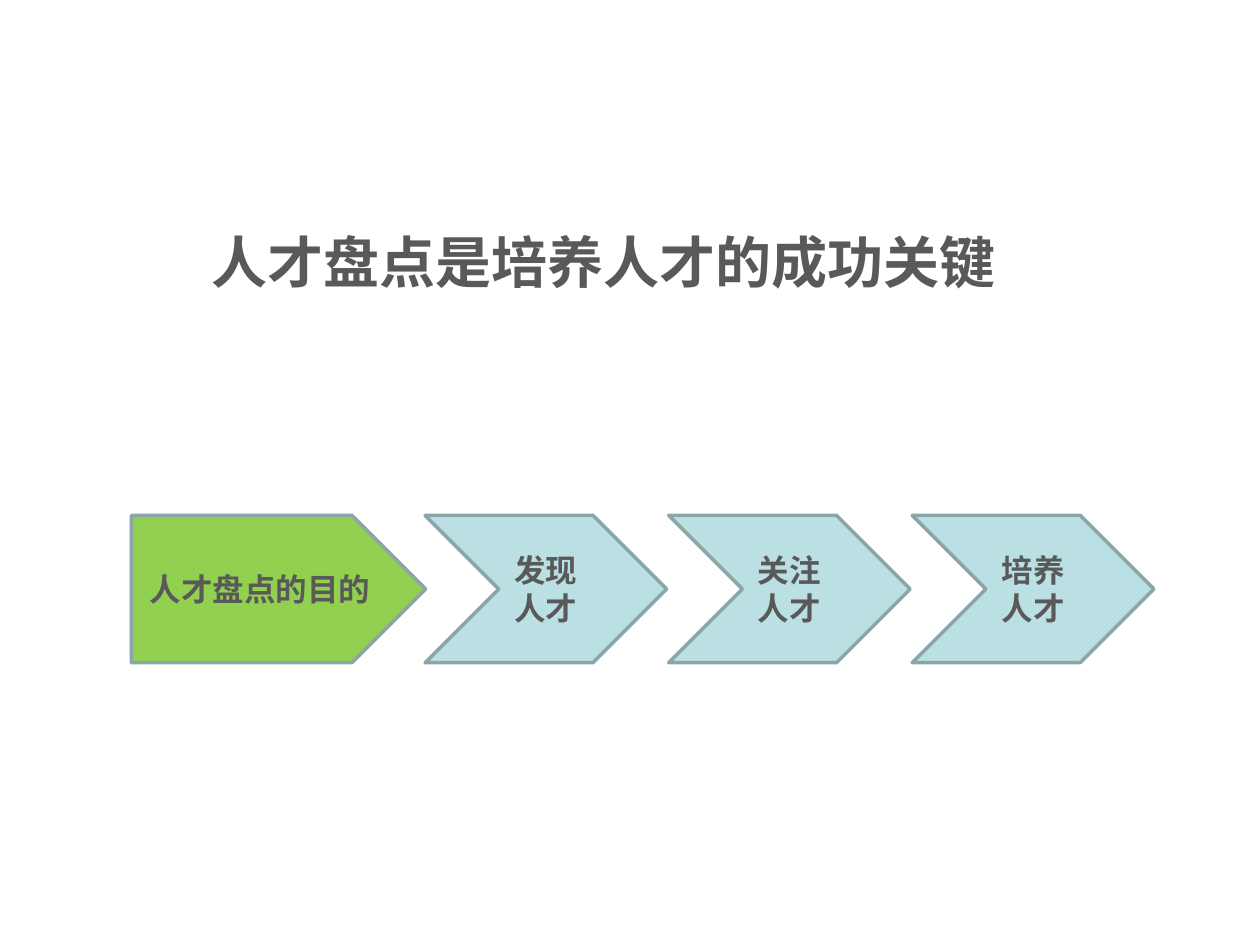
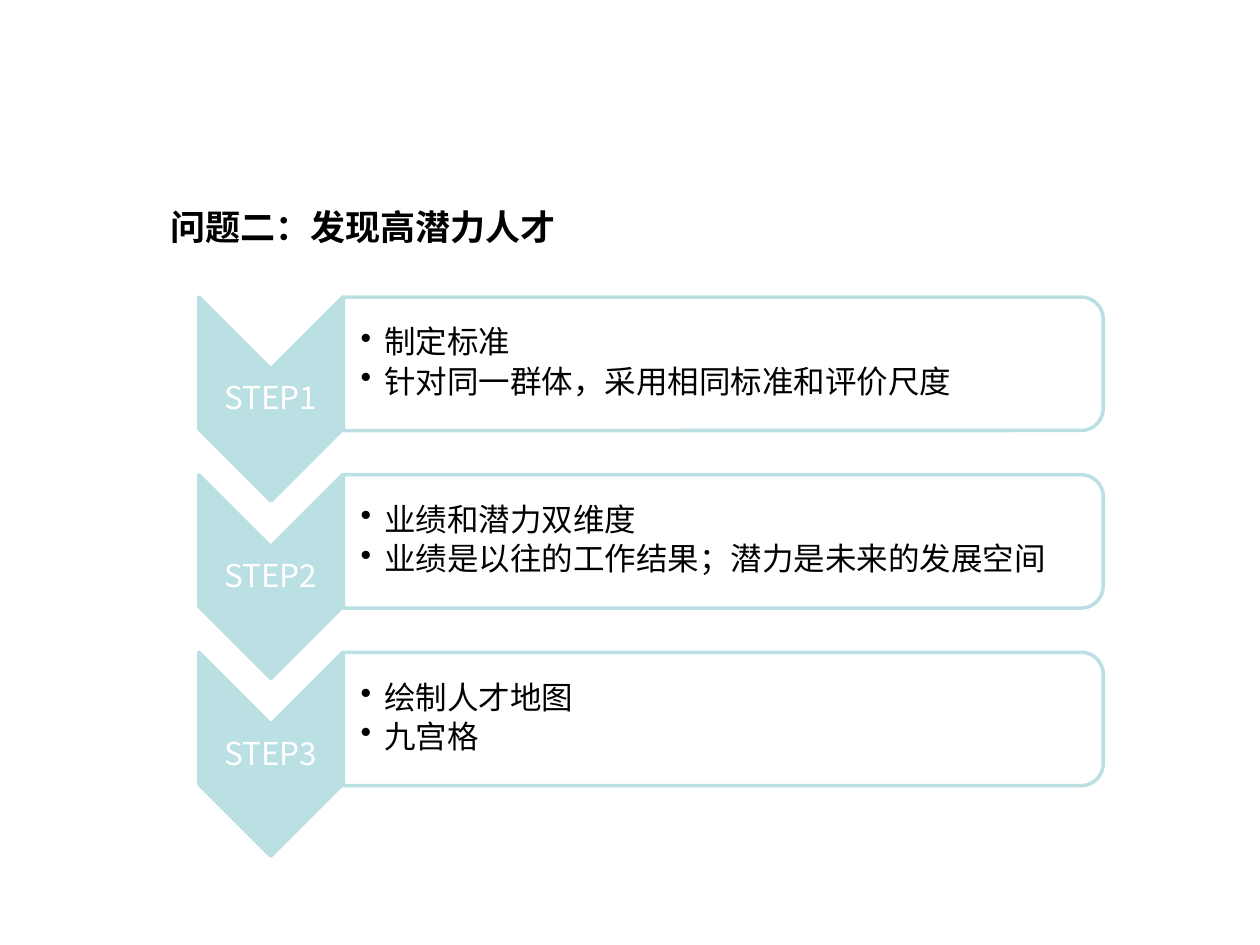
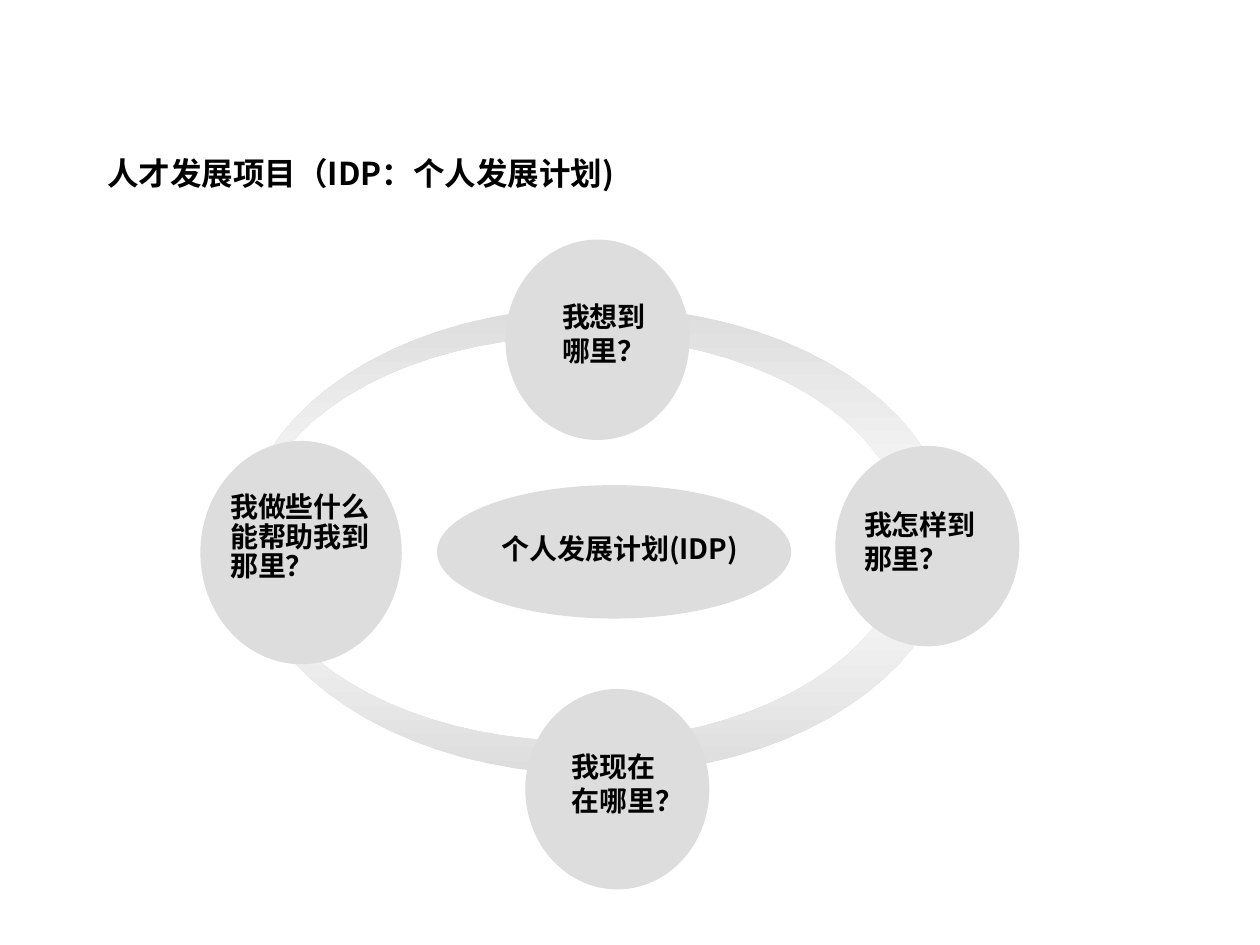
import copy
import math

import pptx
import pptx.dml.color
import pptx.enum.lang
import pptx.enum.shapes
import pptx.enum.text
import pptx.oxml
import pptx.oxml.ns
import pptx.util

Cm = pptx.util.Cm
Pt = pptx.util.Pt
RGBColor = pptx.dml.color.RGBColor
SHAPE = pptx.enum.shapes.MSO_SHAPE
ALIGN = pptx.enum.text.PP_ALIGN
ANCHOR = pptx.enum.text.MSO_ANCHOR
qn = pptx.oxml.ns.qn

FONT = "Noto Sans CJK SC"
BLACK = RGBColor(0x00, 0x00, 0x00)
WHITE = RGBColor(0xFF, 0xFF, 0xFF)
DARK = RGBColor(0x59, 0x59, 0x59)
GREEN = RGBColor(0x92, 0xD0, 0x50)
AQUA = RGBColor(0xBB, 0xE0, 0xE3)
STEEL = RGBColor(0x8A, 0xA6, 0xA8)
GREY = RGBColor(0xDD, 0xDD, 0xDD)


def add_run(p, text, size, color, bold):
    r = p.add_run()
    r.text = text
    f = r.font
    f.name, f.size, f.bold = FONT, Pt(size), bold
    f.color.rgb = color
    f.language_id = pptx.enum.lang.MSO_LANGUAGE_ID.SIMPLIFIED_CHINESE
    ea = r._r.get_or_add_rPr().makeelement(qn("a:ea"), {"typeface": FONT})
    r._r.rPr.find(qn("a:latin")).addnext(ea)


def set_bullet(p):
    pPr = p._p.get_or_add_pPr()
    pPr.set("marL", str(Cm(0.48)))
    pPr.set("indent", str(-Cm(0.48)))
    pPr.append(pPr.makeelement(qn("a:buChar"), {"char": "•"}))


def write(tf, lines, size, color, bold=False, align=ALIGN.LEFT, spacing=None,
          after=None, bullets=False):
    """Fill a text frame with one paragraph per line."""
    tf.word_wrap = True
    for i, line in enumerate(lines):
        p = tf.paragraphs[0] if i == 0 else tf.add_paragraph()
        p.alignment = align
        if spacing:
            p.line_spacing = spacing
        if after:
            p.space_after = Pt(after)
        if bullets:
            set_bullet(p)
        add_run(p, line, size, color, bold)


def add_titled_slide(prs, text, box, size, color):
    s = prs.slides.add_slide(prs.slide_layouts[5])
    sp = s.shapes.title
    sp.left, sp.top, sp.width, sp.height = map(Cm, box)
    tf = sp.text_frame
    tf.auto_size = pptx.enum.text.MSO_AUTO_SIZE.NONE
    tf.vertical_anchor = ANCHOR.TOP
    write(tf, [text], size, color, bold=True)
    return s


def add_shape(s, kind, box, fill, line=None):
    sp = s.shapes.add_shape(kind, *map(Cm, box))
    sp.shadow.inherit = False
    sp.fill.solid()
    sp.fill.fore_color.rgb = fill
    if line is None:
        sp.line.fill.background()
    else:
        sp.line.color.rgb = line
        sp.line.width = Pt(2)
    return sp


def add_turned_shape(s, kind, box, fill, line):
    """Add a shape turned by 90 degrees that covers box once turned."""
    x, y, w, h = box
    sp = add_shape(s, kind, (x + (w - h) / 2, y + (h - w) / 2, h, w), fill, line)
    sp.rotation = 90
    return sp


def add_text(s, box, lines, size, color, anchor=ANCHOR.TOP, insets=None, **style):
    tf = s.shapes.add_textbox(*map(Cm, box)).text_frame
    tf.vertical_anchor = anchor
    if insets:
        (tf.margin_left, tf.margin_top,
         tf.margin_right, tf.margin_bottom) = map(Cm, insets)
    write(tf, lines, size, color, **style)


def add_flow_arrow(s, kind, x, w, text, fill):
    sp = add_shape(s, kind, (x, 10.39, w, 2.97), fill, STEEL)
    sp.text_frame.vertical_anchor = ANCHOR.MIDDLE
    write(sp.text_frame, [text], 18, DARK, bold=True, align=ALIGN.CENTER)


def add_step(s, y, label, points):
    add_turned_shape(s, SHAPE.CHEVRON, (4.01, y, 2.9, 4.11), AQUA, AQUA)
    add_text(s, (4.01, y + 1.45, 2.9, 1.24), [label], 18, WHITE, ANCHOR.MIDDLE,
             (0.03, 0.03, 0.03, 0.03), align=ALIGN.CENTER, spacing=0.9)
    panel = add_turned_shape(s, SHAPE.ROUND_2_SAME_RECTANGLE,
                             (6.92, y, 15.32, 2.69), WHITE, AQUA)
    clr = panel.fill._xPr.find(qn("a:solidFill"))[0]
    clr.append(clr.makeelement(qn("a:alpha"), {"val": "90000"}))
    add_text(s, (6.91, y + 0.13, 15.19, 2.41), points, 18, BLACK, ANCHOR.MIDDLE,
             (0.36, 0.03, 0.03, 0.03), spacing=0.9, after=3, bullets=True)


def ellipse_points(cx, cy, rx, ry, turn):
    angles = [turn * 2 * math.pi * i / 80 for i in range(80)]
    return [(Cm(cx + rx * math.sin(a)), Cm(cy - ry * math.cos(a))) for a in angles]


def add_ring(s):
    """Add a ring that is thicker on the right, with a vertical gradient."""
    outer = ellipse_points(12.04, 10.9, 7.15, 4.72, 1)
    inner = ellipse_points(11.68, 10.86, 6.6, 4.08, -1)
    fb = s.shapes.build_freeform(*outer[0])
    fb.add_line_segments(outer[1:])
    fb.move_to(*inner[0])
    fb.add_line_segments(inner[1:])
    sp = fb.convert_to_shape()
    sp.shadow.inherit = False
    sp.line.fill.background()
    sp.fill.gradient()
    sp.fill.gradient_angle = 90
    gs_list = sp.fill._xPr.find(qn("a:gradFill")).find(qn("a:gsLst"))
    gs_list.append(copy.deepcopy(gs_list[0]))
    stops = zip(sp.fill.gradient_stops, (0, 0.5, 1), (GREY, WHITE, GREY))
    for stop, position, color in stops:
        stop.position = position
        stop.color.rgb = color


def build_purpose(prs):
    s = add_titled_slide(prs, "人才盘点是培养人才的成功关键",
                         (4.01, 4.45, 17.15, 1.63), 32, DARK)
    add_flow_arrow(s, SHAPE.PENTAGON, 2.65, 5.93, "人才盘点的目的", GREEN)
    for i, text in enumerate(("发现人才", "关注人才", "培养人才")):
        add_flow_arrow(s, SHAPE.CHEVRON, 8.57 + 4.91 * i, 4.87, text, AQUA)


def build_steps(prs):
    s = add_titled_slide(prs, "问题二：发现高潜力人才",
                         (3.18, 4.01, 16.31, 1.96), 20, BLACK)
    steps = (
        ("制定标准", "针对同一群体，采用相同标准和评价尺度"),
        ("业绩和潜力双维度", "业绩是以往的工作结果；潜力是未来的发展空间"),
        ("绘制人才地图", "九宫格"),
    )
    for i, points in enumerate(steps):
        add_step(s, 5.99 + 3.58 * i, f"STEP{i + 1}", points)


def build_plan(prs):
    s = add_titled_slide(prs, "人才发展项目（IDP：个人发展计划)",
                         (1.91, 2.97, 11.05, 1.02), 18, BLACK)
    add_ring(s)
    add_shape(s, SHAPE.OVAL, (8.81, 9.78, 7.14, 2.69), GREY)
    add_text(s, (8.89, 10.59, 7.21, 1.4), ["个人发展计划(IDP)"], 16, BLACK,
             bold=True, align=ALIGN.CENTER)
    questions = (
        ((10.19, 4.83, 3.71, 4.04), (10.08, 5.92, 4.19, 1.83),
         ("我想到", "哪里？"), ALIGN.CENTER, None),
        ((16.84, 8.99, 3.71, 4.04), (17.17, 10.11, 3.02, 1.8),
         ("我怎样到", "那里？"), ALIGN.JUSTIFY, None),
        ((10.59, 13.89, 3.71, 4.04), (11.28, 14.99, 3, 1.73),
         ("我现在", "在哪里？"), ALIGN.JUSTIFY, None),
        ((4.04, 8.89, 4.06, 4.5), (4.39, 9.83, 3.38, 2.57),
         ("我做些什么", "能帮助我到", "那里？"), ALIGN.JUSTIFY, 0.88),
    )
    for circle, box, lines, align, spacing in questions:
        add_shape(s, SHAPE.OVAL, circle, GREY)
        add_text(s, box, lines, 16, BLACK, bold=True, align=align, spacing=spacing)


def main():
    prs = pptx.Presentation()
    prs.slide_width, prs.slide_height = Cm(25.4), Cm(19.05)
    build_purpose(prs)
    build_steps(prs)
    build_plan(prs)
    prs.save("out.pptx")


if __name__ == "__main__":
    main()
